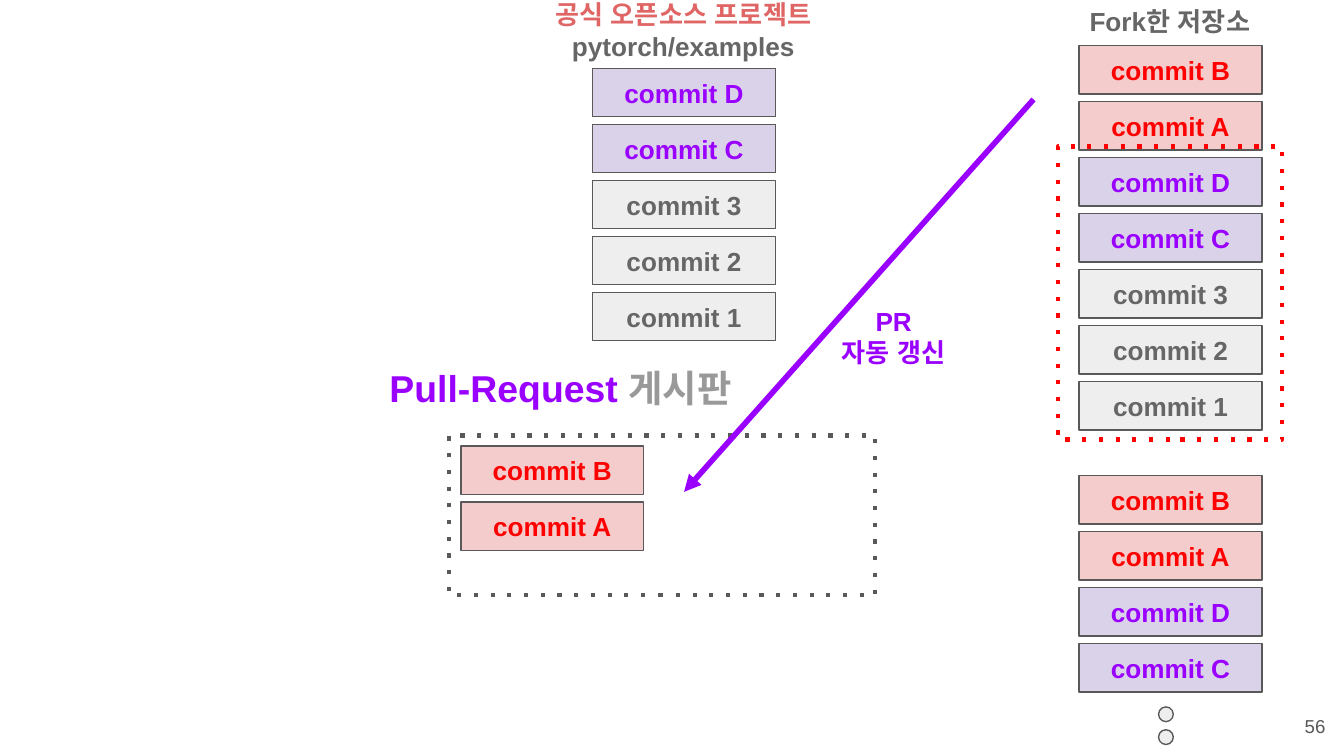
"""Build the slide on commits that update a pull request by themselves."""
from typing import NamedTuple

from lxml import etree
from pptx import Presentation
from pptx.dml.color import RGBColor
from pptx.enum.shapes import MSO_CONNECTOR, MSO_SHAPE
from pptx.enum.text import MSO_ANCHOR, PP_ALIGN
from pptx.oxml.ns import qn
from pptx.util import Inches, Pt

RECT, OVAL, LINE = MSO_SHAPE.RECTANGLE, MSO_SHAPE.OVAL, MSO_CONNECTOR.STRAIGHT
LEFT, MID, RIGHT = PP_ALIGN.LEFT, PP_ALIGN.CENTER, PP_ALIGN.RIGHT
TOP, CENTER = MSO_ANCHOR.TOP, MSO_ANCHOR.MIDDLE
FONT = "Arial"
WIDTH = 10
HEIGHT = WIDTH * 9 / 16
BOX_W, BOX_H, STEP = 1.36, 0.36, 1.25 / 3
COLORS = {
    "edge": "595959", "gray": "666666", "pale": "EEEEEE", "light": "999999",
    "red": "FF0000", "pink": "F4CCCC", "rose": "E06666",
    "purple": "9900FF", "lilac": "D9D2E9",
}
KINDS = {
    "A": ("pink", "red"), "B": ("pink", "red"),
    "C": ("lilac", "purple"), "D": ("lilac", "purple"),
    "1": ("pale", "gray"), "2": ("pale", "gray"), "3": ("pale", "gray"),
}


class Area(NamedTuple):
    left: float
    top: float
    width: float
    height: float


class Stack(NamedTuple):
    left: float
    top: float
    names: str


class Frame(NamedTuple):
    area: Area
    color: str


class Label(NamedTuple):
    area: Area
    lines: list
    size: int = 14
    bold: bool = True
    align: PP_ALIGN = MID
    anchor: MSO_ANCHOR = TOP


STACKS = [
    Stack(4.41, 0.51, "DC321"),
    Stack(8.03, 0.34, "BADC321"),
    Stack(8.03, 3.54, "BADC"),
    Stack(3.43, 3.32, "BA"),
]
FRAMES = [
    Frame(Area(7.87, 1.09, 1.67, 2.18), "red"),
    Frame(Area(3.34, 3.24, 3.17, 1.19), "edge"),
]
DOTS = [Area(8.62, 5.26, 0.11, 0.11), Area(8.62, 5.43, 0.11, 0.11)]
LABELS = [
    Label(Area(3.5, -0.11, 3.17, 0.36),
          [[("공식 오픈소스 프로젝트\n", "rose"), ("pytorch/examples", "gray")]]),
    Label(Area(7.12, -0.06, 3.17, 0.36), [[("Fork한 저장소", "gray")]]),
    Label(Area(2.8, 2.62, 5.07, 0.52),
          [[("Pull-Request ", "purple"), ("게시판", "light")]], size=20, align=LEFT),
    Label(Area(6.1, 2.17, 1.1, 0.62),
          [[("PR", "purple")], [("자동 갱신", "purple")]]),
    Label(Area(9.36, 5.19, 0.6, 0.43), [[("56", "edge")]],
          size=10, bold=False, align=RIGHT, anchor=CENTER),
]


def rgb(name: str) -> RGBColor:
    """Return the named colour."""
    return RGBColor.from_string(COLORS[name])


def write(shape, lines: list, *, size: int = 14, bold: bool = True,
          align: PP_ALIGN = MID, anchor: MSO_ANCHOR = CENTER) -> None:
    """Fill a shape with paragraphs of coloured runs."""
    frame = shape.text_frame
    frame.word_wrap = True
    frame.vertical_anchor = anchor
    frame.margin_left = frame.margin_right = Inches(0.1)
    frame.margin_top = frame.margin_bottom = Inches(0.1)
    for index, line in enumerate(lines):
        para = frame.add_paragraph() if index else frame.paragraphs[0]
        para.alignment = align
        for text, color in line:
            run = para.add_run()
            run.text = text.rstrip("\n")
            run.font.name, run.font.size, run.font.bold = FONT, Pt(size), bold
            run.font.color.rgb = rgb(color)
            if text.endswith("\n"):
                para.add_line_break()
    for props in shape.element.iter(qn("a:rPr")):
        etree.SubElement(props, qn("a:ea"), typeface=FONT)


def stroke(shape, color: str, width: float) -> None:
    """Set the line of a shape or connector."""
    shape.line.color.rgb = rgb(color)
    shape.line.width = Pt(width)


def extend(shape, tag: str, **attrs: str) -> None:
    """Add a child element to the line of a shape."""
    line = shape.element.spPr.find(qn("a:ln"))
    etree.SubElement(line, qn(tag), attrs)


def draw(slide, kind: MSO_SHAPE, area: Area, fill: str = "",
         line: str = "edge", width: float = 0.75):
    """Draw a preset shape, hollow when it has no fill."""
    shape = slide.shapes.add_shape(kind, *map(Inches, area))
    shape.shadow.inherit = False
    if fill:
        shape.fill.solid()
        shape.fill.fore_color.rgb = rgb(fill)
    else:
        shape.fill.background()
    stroke(shape, line, width)
    return shape


def pile(slide, stack: Stack) -> None:
    """Draw a column of commits from the top down."""
    for row, name in enumerate(stack.names):
        fill, color = KINDS[name]
        area = Area(stack.left, stack.top + row * STEP, BOX_W, BOX_H)
        write(draw(slide, RECT, area, fill), [[(f"commit {name}", color)]])


def arrow(slide, start: tuple, end: tuple, color: str) -> None:
    """Draw a straight arrow."""
    line = slide.shapes.add_connector(LINE, *map(Inches, start + end))
    stroke(line, color, 3)
    extend(line, "a:tailEnd", type="triangle")
    etree.SubElement(line.element.spPr, qn("a:effectLst"))


def main() -> None:
    """Build and save the slide."""
    deck = Presentation()
    deck.slide_width, deck.slide_height = Inches(WIDTH), Inches(HEIGHT)
    slide = deck.slides.add_slide(deck.slide_layouts[6])
    for stack in STACKS:
        pile(slide, stack)
    for area in DOTS:
        draw(slide, OVAL, area, "pale")
    for frame in FRAMES:
        extend(draw(slide, RECT, frame.area, line=frame.color, width=2.25),
               "a:prstDash", val="dot")
    arrow(slide, (7.69, 0.74), (5.09, 3.66), "purple")
    for label in LABELS:
        box = slide.shapes.add_textbox(*map(Inches, label.area))
        write(box, label.lines, size=label.size, bold=label.bold,
              align=label.align, anchor=label.anchor)
    deck.save("out.pptx")


if __name__ == "__main__":
    main()
